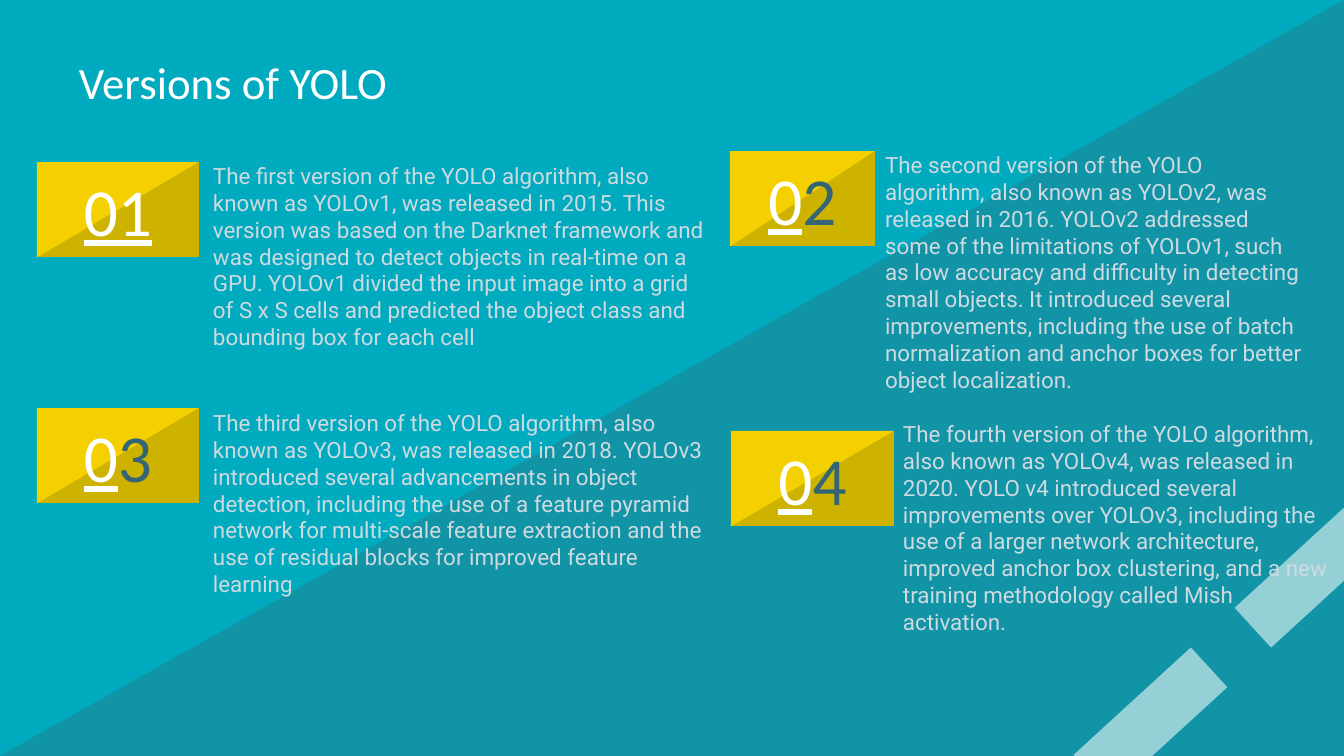
from lxml.etree import SubElement
from pptx import Presentation
from pptx.dml.color import RGBColor
from pptx.enum.shapes import MSO_SHAPE as Shape
from pptx.enum.text import MSO_ANCHOR as Anchor, PP_ALIGN as Align
from pptx.oxml.ns import qn
from pptx.util import Pt

WIDTH, HEIGHT = 1344, 756
SCALE = 9144000 / WIDTH
BADGE_HEIGHT, TEXT_HEIGHT, INSET = 95, 199, 13
COLORS = {
    "background": "00ABBF", "slate": "336574", "white": "FFFFFF",
    "yellow": "F4D000", "gold": "CEB200", "body": "CFD9E0",
}

# Badge box (left, top, width), text box (left, top, width), white digits, slate digits, text
VERSIONS = [
    ((37, 162, 162), (200, 149, 523), "01", "",
     "The first version of the YOLO algorithm, also known as YOLOv1, was released in 2015. "
     "This version was based on the Darknet framework and was designed to detect objects in "
     "real-time on a GPU. YOLOv1 divided the input image into a grid of S x S cells and "
     "predicted the object class and bounding box for each cell"),
    ((730, 151, 145), (872, 138, 448), "0", "2",
     "The second version of the YOLO algorithm, also known as YOLOv2, was released in 2016. "
     "YOLOv2 addressed some of the limitations of YOLOv1, such as low accuracy and difficulty "
     "in detecting small objects. It introduced several improvements, including the use of "
     "batch normalization and anchor boxes for better object localization."),
    ((37, 408, 162), (200, 396, 523), "0", "3",
     "The third version of the YOLO algorithm, also known as YOLOv3, was released in 2018. "
     "YOLOv3 introduced several advancements in object detection, including the use of a "
     "feature pyramid network for multi-scale feature extraction and the use of residual "
     "blocks for improved feature learning"),
    ((731, 431, 163), (890, 407, 454), "0", "4",
     "The fourth version of the YOLO algorithm, also known as YOLOv4, was released in 2020. "
     "YOLO v4 introduced several improvements over YOLOv3, including the use of a larger "
     "network architecture, improved anchor box clustering, and a new training methodology "
     "called Mish activation."),
]


def px(length):
    return round(length * SCALE)


def color(name):
    return RGBColor.from_string(COLORS[name])


def add_block(page, kind, box, fill, opacity=100):
    block = page.shapes.add_shape(kind, *map(px, box))
    block.shadow.inherit = False
    block.line.fill.background()
    block.fill.solid()
    block.fill.fore_color.rgb = color(fill)
    if opacity < 100:
        tint = block.fill._xPr.find(qn("a:solidFill"))[0]
        SubElement(tint, qn("a:alpha")).set("val", str(opacity * 1000))
    return block


def add_corner(page, box, fill, opacity=100):
    """Fill the lower right half of a box."""
    corner = add_block(page, Shape.RIGHT_TRIANGLE, box, fill, opacity)
    corner.element.spPr.xfrm.set("flipH", "1")


def add_text(page, box, spans, font, size, anchor=Anchor.TOP, align=Align.LEFT):
    """Write one paragraph from spans of (text, colour, underline)."""
    frame = page.shapes.add_textbox(*map(px, box)).text_frame
    frame.word_wrap = True
    frame.vertical_anchor = anchor
    frame.margin_left = frame.margin_right = px(INSET)
    frame.margin_top = frame.margin_bottom = px(INSET)
    para = frame.paragraphs[0]
    para.alignment = align
    for text, name, underline in spans:
        span = para.add_run()
        span.text = text
        span.font.name = font
        span.font.size = Pt(size)
        span.font.color.rgb = color(name)
        span.font.underline = underline


def draw_backdrop(page):
    page.background.fill.solid()
    page.background.fill.fore_color.rgb = color("background")
    add_corner(page, (0, 0, WIDTH, HEIGHT), "slate", 32)
    for left, top in ((1071, 694), (1232, 547)):
        stripe = add_block(page, Shape.RECTANGLE, (left, top, 159, 54), "white", 56)
        stripe.rotation = 317.5


def draw_badge(page, box, white_digits, slate_digits):
    left, top, width, height = box
    add_block(page, Shape.RECTANGLE, box, "yellow")
    add_corner(page, (left + 1, top, width - 1, height), "gold")
    spans = [(white_digits, "white", True)]
    if slate_digits:
        spans.append((slate_digits, "slate", False))
    add_text(page, box, spans, "Calibri", 36, Anchor.MIDDLE, Align.CENTER)


def main():
    deck = Presentation()
    deck.slide_width, deck.slide_height = px(WIDTH), px(HEIGHT)
    page = deck.slides.add_slide(deck.slide_layouts[6])
    draw_backdrop(page)
    add_text(page, (66, 39, 1134, 85), [("Versions of YOLO", "white", False)],
             "Calibri", 24, Anchor.MIDDLE)
    for badge, body, white_digits, slate_digits, text in VERSIONS:
        draw_badge(page, (*badge, BADGE_HEIGHT), white_digits, slate_digits)
        add_text(page, (*body, TEXT_HEIGHT), [(text, "body", False)], "Roboto", 12)
    deck.save("out.pptx")


if __name__ == "__main__":
    main()
